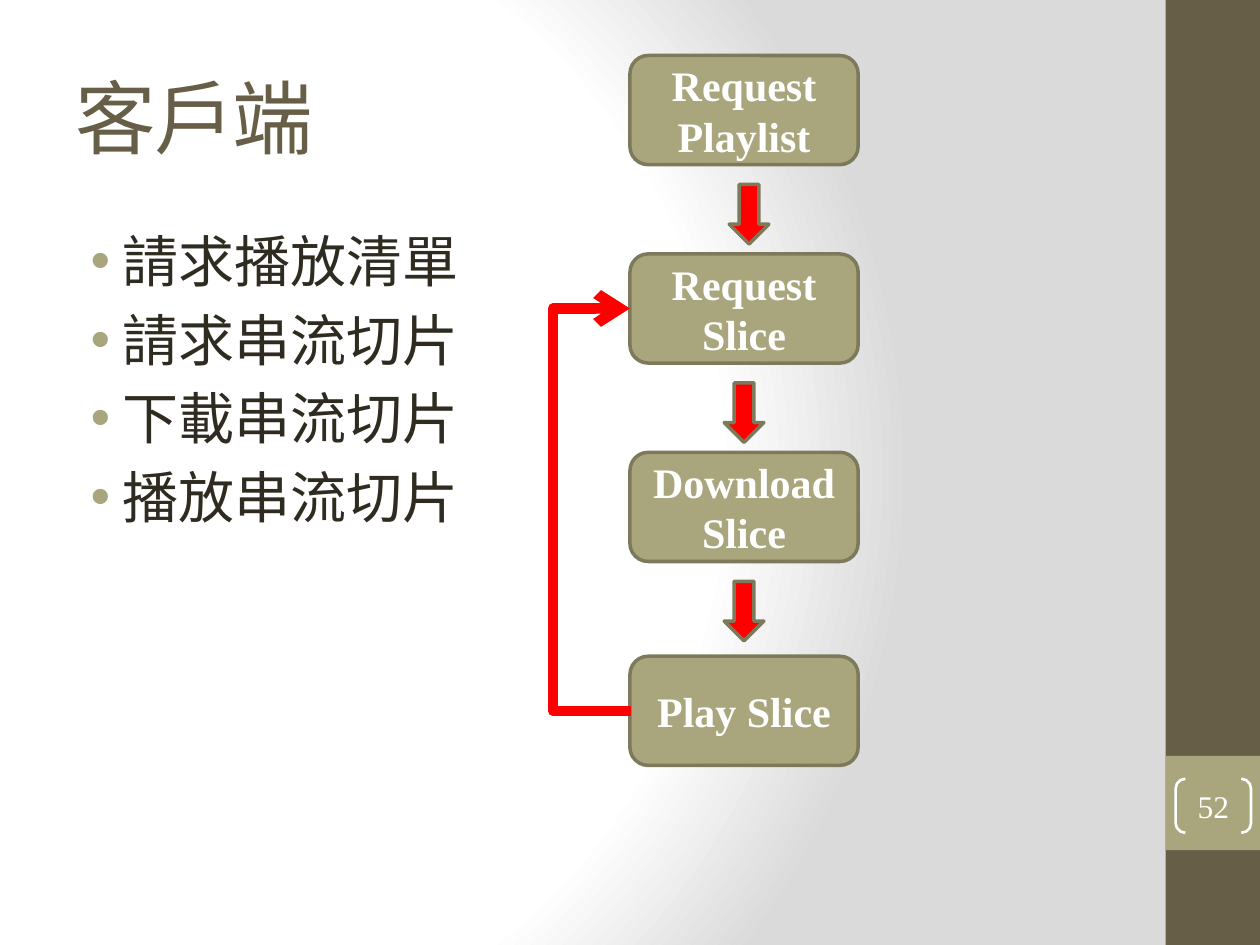
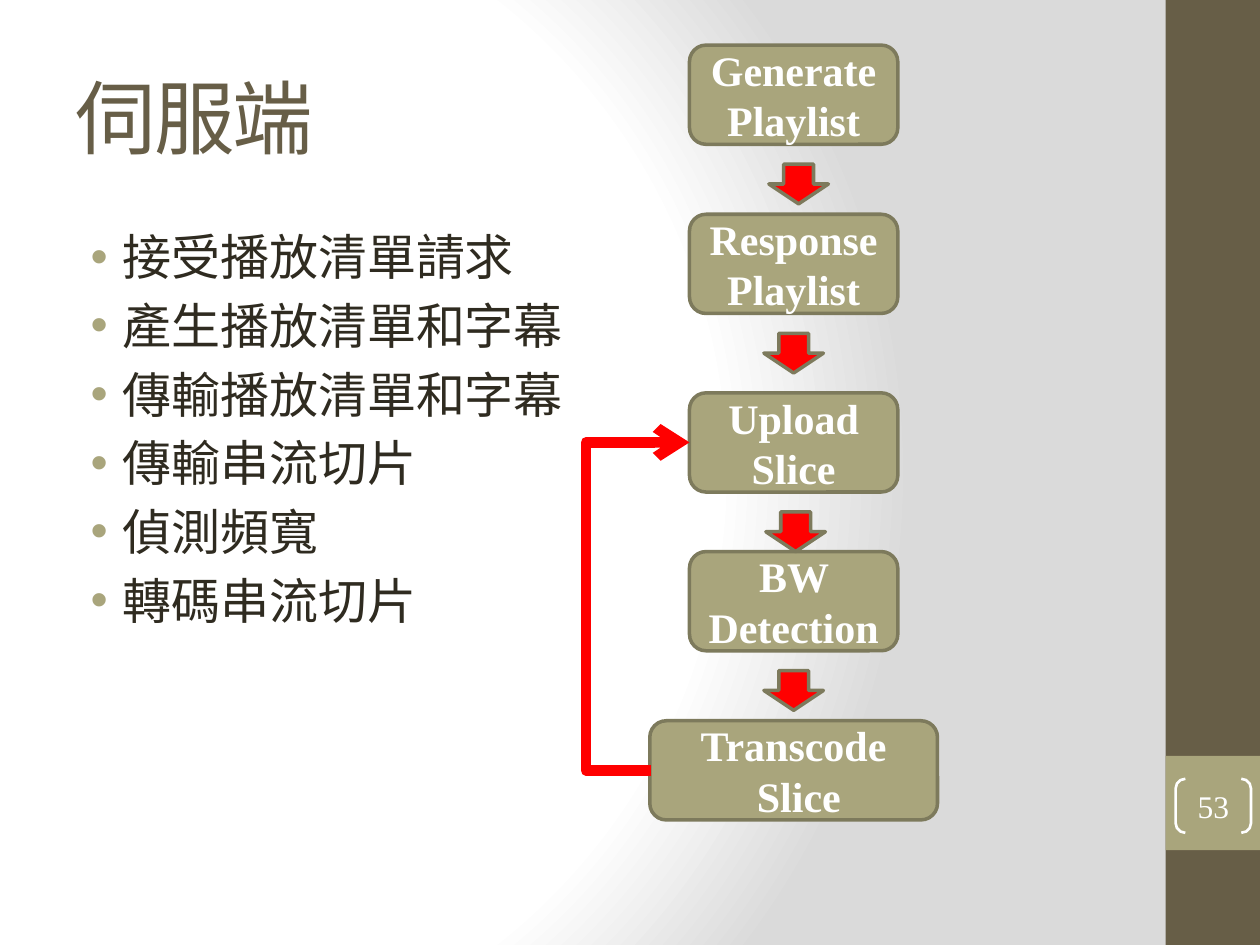
from lxml import etree
from pptx import Presentation
from pptx.dml.color import RGBColor
from pptx.enum.shapes import MSO_CONNECTOR, MSO_SHAPE
from pptx.enum.text import MSO_ANCHOR, PP_ALIGN
from pptx.oxml.ns import qn
from pptx.util import Cm, Pt

RECT = MSO_SHAPE.RECTANGLE
ROUND = MSO_SHAPE.ROUNDED_RECTANGLE
DOWN = MSO_SHAPE.DOWN_ARROW
PAIR = MSO_SHAPE.DOUBLE_BRACKET
ELBOW = MSO_CONNECTOR.ELBOW
LEFT, CENTER = PP_ALIGN.LEFT, PP_ALIGN.CENTER
MIDDLE, TOP = MSO_ANCHOR.MIDDLE, MSO_ANCHOR.TOP

FONT = "Times New Roman"
BROWN, OLIVE, EDGE = "675E47", "A9A57C", "7D7A5C"
INK, WHITE, GRAY, RED = "2F2B20", "FFFFFF", "DADADA", "FF0000"
GAP = 0.4

CLIENT = {
    "title": "客戶端",
    "page": "52",
    "size": 32,
    "points": ["請求播放清單", "請求串流切片", "下載串流切片", "播放串流切片"],
    "mid": 15,
    "tall": 2.2,
    "steps": [
        (1.12, 4.6, "Request Playlist"),
        (5.12, 4.6, "Request Slice"),
        (9.12, 4.6, "Download Slice"),
        (13.23, 4.6, "Play Slice"),
    ],
    "arrow": (0.8, 1.2),
    "shifts": [0.1, 0, 0],
    "back": 1,
    "via": 11.15,
}
SERVER = {
    "title": "伺服端",
    "page": "53",
    "size": 28,
    "points": ["接受播放清單請求", "產生播放清單和字幕", "傳輸播放清單和字幕",
               "傳輸串流切片", "偵測頻寬", "轉碼串流切片"],
    "mid": 16,
    "tall": 2,
    "steps": [
        (0.91, 4.2, "Generate Playlist"),
        (4.32, 4.2, "Response Playlist"),
        (7.92, 4.2, "Upload Slice"),
        (11.12, 4.2, "BW Detection"),
        (14.53, 5.8, "Transcode\n Slice"),
    ],
    "arrow": (1.2, 0.8),
    "shifts": [0.1, 0, 0.04, 0],
    "back": 2,
    "via": 11.81,
}


def paint(code):
    return RGBColor.from_string(code)


def child(node, tag, **values):
    part = etree.SubElement(node, qn(tag))
    for name, value in values.items():
        part.set(name, str(value))
    return part


def write(frame, text, size, color, bold=False, align=CENTER, anchor=MIDDLE):
    frame.word_wrap = True
    frame.vertical_anchor = anchor
    frame.text = text
    look = {"name": FONT, "size": Pt(size), "bold": bold}
    for para in frame.paragraphs:
        para.alignment = align
        font = para.runs[0].font
        for name, value in look.items():
            setattr(font, name, value)
        font.color.rgb = paint(color)


def add_form(slide, kind, box, fill=None, line=None, width=2):
    form = slide.shapes.add_shape(kind, *map(Cm, box))
    form.shadow.inherit = False
    if fill:
        form.fill.solid()
        form.fill.fore_color.rgb = paint(fill)
    else:
        form.fill.background()
    if line:
        form.line.color.rgb = paint(line)
        form.line.width = Pt(width)
    else:
        form.line.fill.background()
    return form


def set_back(master):
    fill = master.background.fill
    fill.solid()
    back = master.element.find(".//" + qn("p:bgPr"))
    back.remove(back.find(qn("a:solidFill")))
    grad = etree.Element(qn("a:gradFill"), rotWithShape="1")
    back.insert(0, grad)
    stops = child(grad, "a:gsLst")
    for pos, color in ((0, WHITE), (75, WHITE), (100, GRAY)):
        child(child(stops, "a:gs", pos=pos * 1000), "a:srgbClr", val=color)
    way = child(grad, "a:path", path="circle")
    child(way, "a:fillToRect", l=20000, t=50000, r=100000, b=50000)


def add_frame(slide, page):
    add_form(slide, RECT, (23.5, 0, 1.9, 19.05), BROWN)
    add_form(slide, RECT, (23.5, 15.24, 1.9, 1.9), OLIVE)
    badge = add_form(slide, PAIR, (23.7, 15.7, 1.52, 1.09), line=WHITE, width=1.5)
    badge.adjustments[0] = 0.18
    frame = badge.text_frame
    for side in ("left", "top", "right", "bottom"):
        setattr(frame, "margin_" + side, 0)
    write(frame, page, 18, WHITE)


def set_title(slide, text):
    title = slide.shapes.title
    spot = {"left": 1.27, "top": 0.76, "width": 21.16, "height": 3.18}
    for name, value in spot.items():
        setattr(title, name, Cm(value))
    write(title.text_frame, text, 46, BROWN, align=LEFT)
    run = title.text_frame.paragraphs[0].runs[0]
    run.font._element.set("spc", "-100")


def add_list(slide, points, size):
    area = slide.shapes.add_textbox(Cm(1.27), Cm(4.45), Cm(21.16), Cm(13.34))
    write(area.text_frame, "\n".join(points), size, INK, align=LEFT, anchor=TOP)
    for para in area.text_frame.paragraphs:
        para.space_before = Pt(size * 0.2)
        props = para._p.get_or_add_pPr()
        props.set("marL", str(Cm(0.95)))
        props.set("indent", str(-Cm(0.64)))
        child(child(props, "a:buClr"), "a:srgbClr", val=OLIVE)
        child(props, "a:buFont", typeface="Arial")
        child(props, "a:buChar", char="•")


def add_loop(slide, start, end, via):
    link = slide.shapes.add_connector(ELBOW, *map(Cm, start + end))
    link.line.color.rgb = paint(RED)
    link.line.width = Pt(6)
    props = link._element.spPr
    ratio = (via - start[0]) / (end[0] - start[0])
    guides = props.find(".//" + qn("a:avLst"))
    child(guides, "a:gd", name="adj1", fmla=f"val {round(ratio * 100000)}")
    line = props.find(qn("a:ln"))
    child(line, "a:round")
    child(line, "a:tailEnd", type="arrow")
    child(props, "a:effectLst")


def add_flow(slide, data):
    mid, tall, steps = data["mid"], data["tall"], data["steps"]
    for top, wide, text in steps:
        box = add_form(slide, ROUND, (mid - wide / 2, top, wide, tall), OLIVE, EDGE)
        write(box.text_frame, text, 24, WHITE, bold=True)
    wide, high = data["arrow"]
    for step, shift in zip(steps, data["shifts"]):
        spot = (mid - wide / 2 + shift, step[0] + tall + GAP, wide, high)
        add_form(slide, DOWN, spot, RED, EDGE)
    ends = [(mid - step[1] / 2, step[0] + tall / 2)
            for step in (steps[-1], steps[data["back"]])]
    (left, low), end = ends
    add_loop(slide, (left + 0.03, low), end, data["via"])


def main():
    deck = Presentation()
    deck.slide_width, deck.slide_height = Cm(25.4), Cm(19.05)
    set_back(deck.slide_master)
    for data in (CLIENT, SERVER):
        slide = deck.slides.add_slide(deck.slide_layouts[5])
        add_frame(slide, data["page"])
        set_title(slide, data["title"])
        add_list(slide, data["points"], data["size"])
        add_flow(slide, data)
    deck.save("out.pptx")


if __name__ == "__main__":
    main()
